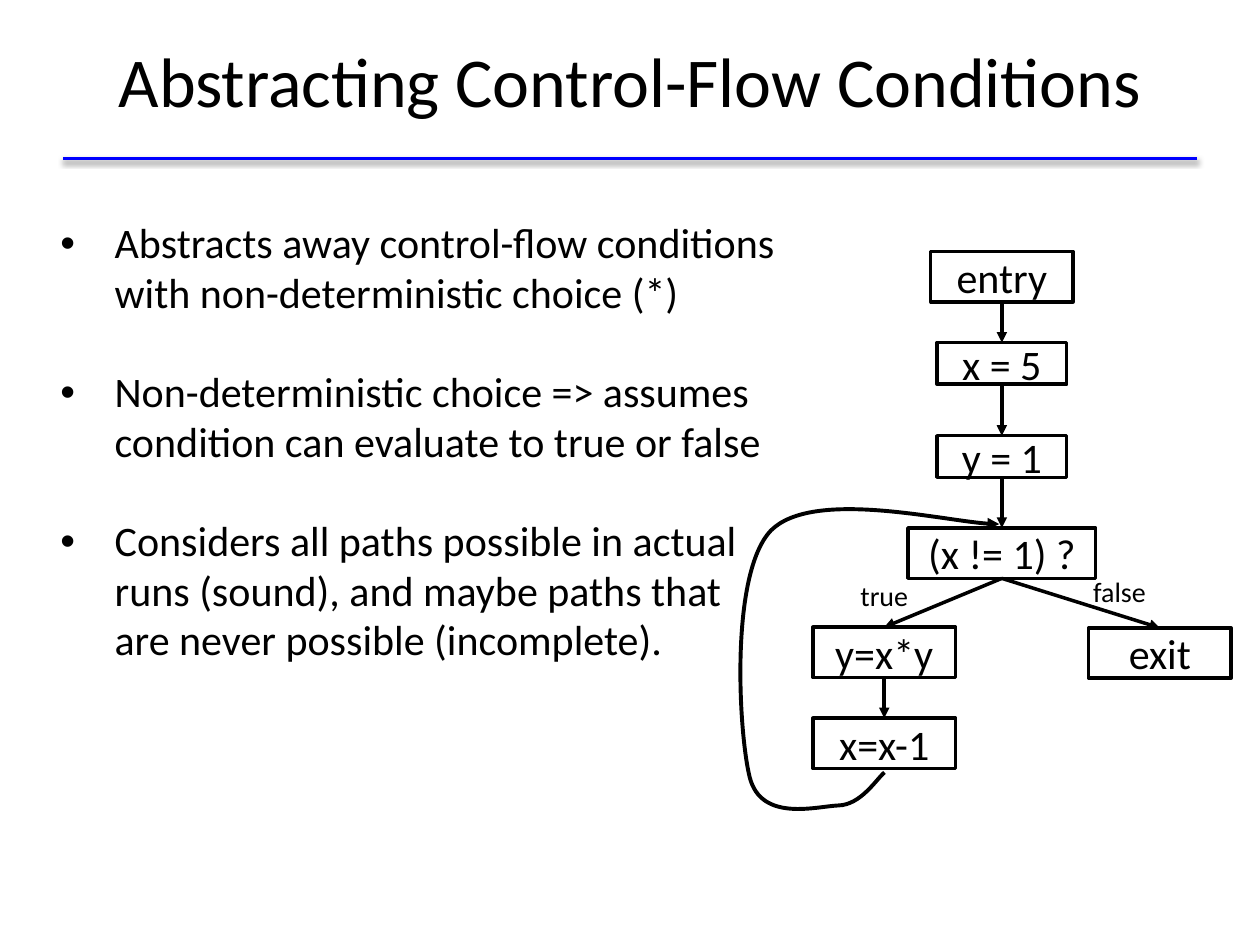
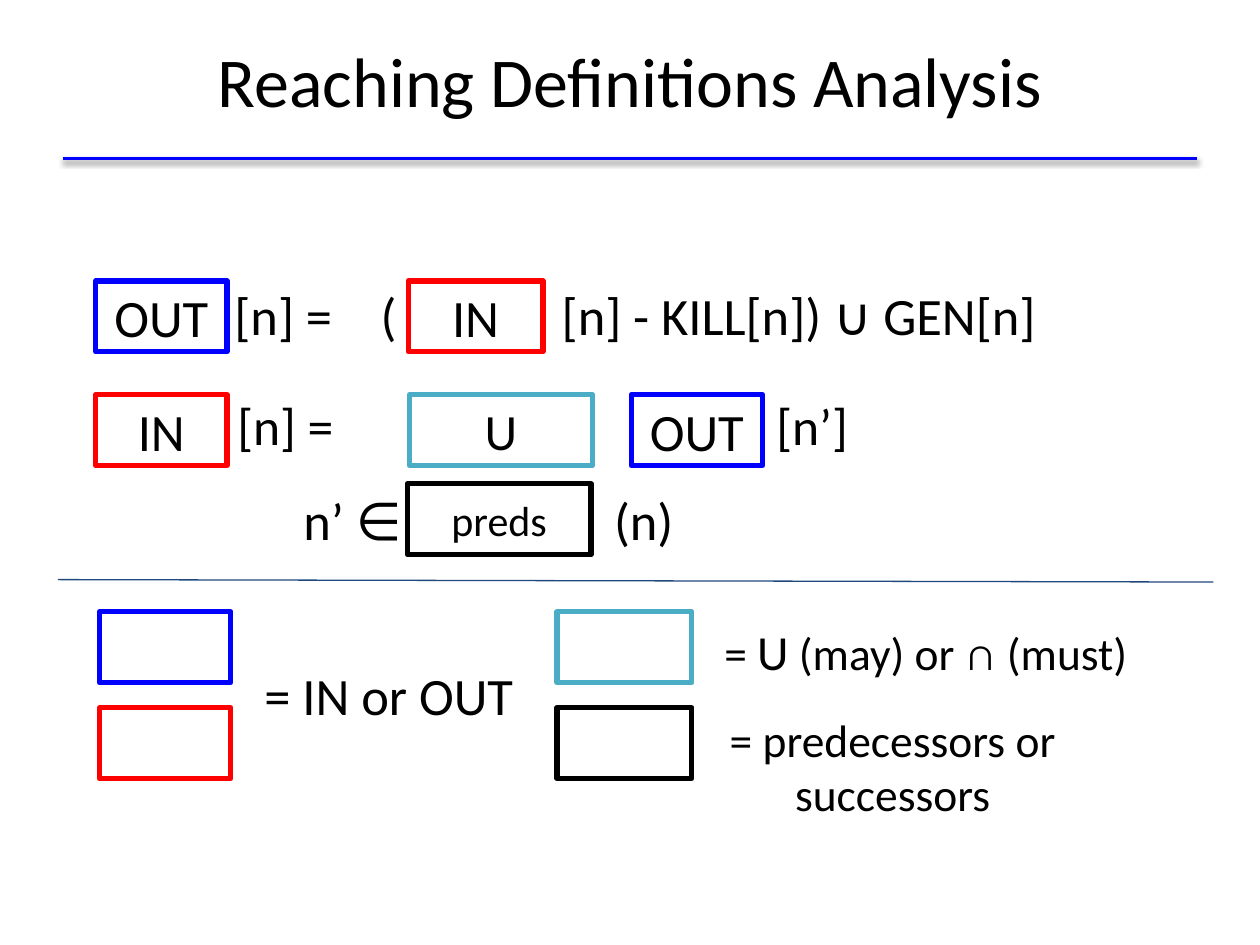
from dataclasses import dataclass

from lxml import etree
from pptx import Presentation
from pptx import util as u
from pptx.dml.color import RGBColor
from pptx.enum import shapes, text
from pptx.oxml import ns

Pt = u.Pt
FONT = "Calibri"
COLORS = {
    "ink": "000000",
    "blue": "0000FF",
    "red": "FF0000",
    "teal": "4BACC6",
    "navy": "1F497D",
}
TITLE_ONLY, TITLE_AND_BODY = 5, 1
LEFT, CENTER = text.PP_ALIGN.LEFT, text.PP_ALIGN.CENTER
TOP, MIDDLE = text.MSO_ANCHOR.TOP, text.MSO_ANCHOR.MIDDLE


@dataclass(frozen=True)
class Box:
    left: float
    top: float
    width: float
    height: float
    words: str = ""
    size: float = 24
    color: str = "ink"
    line: float = 3
    inset: float = 7.2


@dataclass(frozen=True)
class Label:
    left: float
    top: float
    width: float
    height: float
    runs: tuple[tuple[str, float], ...]
    align: int = LEFT
    anchor: int = TOP
    inset: float = 7.2
    spaced: bool = False
    tabs: tuple[float, ...] = ()


def rgb(name: str) -> RGBColor:
    return RGBColor.from_string(COLORS[name])


def child(parent, tag: str, **attributes):
    return etree.SubElement(parent, ns.qn(tag), attributes)


def place(shape, left: float, top: float, width: float, height: float) -> None:
    shape.left, shape.top = Pt(left), Pt(top)
    shape.width, shape.height = Pt(width), Pt(height)


def set_frame(frame, anchor: int, inset: float) -> None:
    frame.word_wrap = True
    frame.auto_size = text.MSO_AUTO_SIZE.NONE
    frame.vertical_anchor = anchor
    frame.margin_left = frame.margin_right = Pt(7.2)
    frame.margin_top = frame.margin_bottom = Pt(inset)


def add_run(paragraph, words: str, size: float) -> None:
    run = paragraph.add_run()
    run.text = words
    run.font.name = FONT
    run.font.size = Pt(size)
    run.font.color.rgb = rgb("ink")


def set_line(line, color: str, width: float, arrow: bool = False) -> None:
    line.color.rgb = rgb(color)
    line.width = Pt(width)
    if arrow:
        child(line._get_or_add_ln(), "a:tailEnd", type="triangle")


def add_line(slide, ends: tuple, color: str, width: float, arrow: bool = False):
    connector = slide.shapes.add_connector(
        shapes.MSO_CONNECTOR.STRAIGHT, *(Pt(value) for value in ends))
    set_line(connector.line, color, width, arrow)
    effects = child(connector.element.spPr, "a:effectLst")
    return connector, effects


def add_box(slide, box: Box):
    shape = slide.shapes.add_shape(
        shapes.MSO_SHAPE.RECTANGLE,
        *(Pt(v) for v in (box.left, box.top, box.width, box.height)))
    shape.shadow.inherit = False
    shape.fill.background()
    set_line(shape.line, box.color, box.line)
    set_frame(shape.text_frame, MIDDLE, box.inset)
    if box.words:
        paragraph = shape.text_frame.paragraphs[0]
        paragraph.alignment = CENTER
        add_run(paragraph, box.words, box.size)
    return shape


def add_label(slide, label: Label) -> None:
    holder = slide.shapes.add_textbox(
        *(Pt(v) for v in (label.left, label.top, label.width, label.height)))
    set_frame(holder.text_frame, label.anchor, label.inset)
    paragraph = holder.text_frame.paragraphs[0]
    paragraph.alignment = label.align
    if label.spaced:
        paragraph.line_spacing = 1.15
        paragraph.space_before = Pt(5.9)
    if label.tabs:
        stops = child(paragraph._p.get_or_add_pPr(), "a:tabLst")
        for stop in label.tabs:
            child(stops, "a:tab", pos=str(Pt(stop)), algn="l")
    for words, size in label.runs:
        add_run(paragraph, words, size)


def add_titled_slide(deck, layout: int, title: str):
    slide = deck.slides.add_slide(deck.slide_layouts[layout])
    heading = slide.shapes.title
    place(heading, 36, 0.7, 648, 90)
    set_frame(heading.text_frame, MIDDLE, 3.6)
    paragraph = heading.text_frame.paragraphs[0]
    paragraph.alignment = CENTER
    add_run(paragraph, title, 40)
    return slide


def move_rule_to_master(deck, slide) -> None:
    rule, effects = add_line(slide, (36, 90.7, 684, 90.7), "blue", 2)
    shadow = child(effects, "a:outerShdw", blurRad=str(Pt(3.1)), dist=str(Pt(1.6)),
                   dir="5400000", rotWithShape="0")
    child(child(shadow, "a:srgbClr", val=COLORS["ink"]), "a:alpha", val="38000")
    deck.slide_master.shapes.element.append(rule.element)


def fill_bullets(body, points: tuple[str, ...]) -> None:
    place(body, 22.3, 118, 430, 370)
    set_frame(body.text_frame, TOP, 7.2)
    for index, point in enumerate(points):
        frame = body.text_frame
        paragraph = frame.add_paragraph() if index else frame.paragraphs[0]
        properties = paragraph._p.get_or_add_pPr()
        properties.set("marL", str(Pt(36)))
        properties.set("indent", str(Pt(-31)))
        paragraph.line_spacing = 0.98
        paragraph.space_before = Pt(0)
        paragraph.space_after = Pt(28.7)
        add_run(paragraph, point, 24)


def add_loop_edge(slide, start: tuple, curves: tuple) -> None:
    builder = slide.shapes.build_freeform(Pt(start[0]), Pt(start[1]))
    builder.add_line_segments([(Pt(x), Pt(y)) for x, y in curves], close=False)
    loop = builder.convert_to_shape()
    loop.shadow.inherit = False
    loop.fill.background()
    set_line(loop.line, "ink", 2.25, arrow=True)
    segments = loop.element.xpath(".//a:lnTo")
    outline = segments[0].getparent()
    for first in range(0, len(segments), 3):
        curve = child(outline, "a:cubicBezTo")
        for segment in segments[first:first + 3]:
            curve.append(segment[0])
            outline.remove(segment)


def build_conditions(deck) -> None:
    slide = add_titled_slide(deck, TITLE_AND_BODY, "Abstracting Control-Flow Conditions")
    move_rule_to_master(deck, slide)
    fill_bullets(slide.placeholders[1], (
        "Abstracts away control-flow conditions with non-deterministic choice (*)",
        "Non-deterministic choice => assumes condition can evaluate to true or false",
        "Considers all paths possible in actual runs (sound), and maybe paths that "
        "are never possible (incomplete).",
    ))
    add_loop_edge(slide, (505.4, 441.4), (
        (501, 445), (492, 460), (479, 460.3),
        (466.5, 460.8), (435, 470), (428.4, 444.2),
        (422, 418.3), (417, 327.6), (440.6, 303.1),
        (464.4, 279.4), (549.4, 300.2), (571, 299.5),
    ))
    trunk, loop_body, after = 572.5, 505.3, 662.8
    nodes = {
        words: add_box(slide, Box(center - width / 2, top, width, height, words,
                                  line=2, inset=3.6))
        for words, center, top, width, height in (
            ("entry", trunk, 143.7, 81.4, 28.8),
            ("x = 5", trunk, 195.8, 74.2, 23.8),
            ("y = 1", trunk, 249, 74.2, 23.8),
            ("(x != 1) ?", trunk, 301.7, 107.3, 28.8),
            ("y=x*y", loop_body, 358.4, 81.4, 28.8),
            ("x=x-1", loop_body, 410.4, 81.4, 28.8),
            ("exit", after, 358.8, 81.4, 28.8),
        )
    }
    for source, target in (
        ("entry", "x = 5"), ("x = 5", "y = 1"), ("y = 1", "(x != 1) ?"),
        ("(x != 1) ?", "y=x*y"), ("(x != 1) ?", "exit"), ("y=x*y", "x=x-1"),
    ):
        edge, _ = add_line(slide, (0, 0, 0, 0), "ink", 2, arrow=True)
        edge.begin_connect(nodes[source], 2)
        edge.end_connect(nodes[target], 0)
    for left, top, branch in ((484.6, 327, "true"), (617.6, 324.7, "false")):
        add_label(slide, Label(left, top, 60, 26, ((branch, 16),), anchor=MIDDLE))


def build_reaching_definitions(deck) -> None:
    slide = add_titled_slide(deck, TITLE_ONLY, "Reaching Definitions Analysis")
    out_row, in_row, preds_row = 160.5, 225.5, 276.5
    legend_top, legend_bottom = 349.6, 404.4
    height = 40.5
    for box in (
        Box(54.7, out_row, 75, height, "OUT", 30, "blue"),
        Box(233.3, out_row, 77, height, "IN", 30, "red"),
        Box(54.7, in_row, 75, height, "IN", 30, "red"),
        Box(234, in_row, 104.4, height, "U", 29, "teal"),
        Box(360.7, in_row, 75, height, "OUT", 30, "blue"),
        Box(232.8, preds_row, 105, height, "preds", 24),
        Box(56.9, legend_top, 75, height, color="blue"),
        Box(56.9, legend_bottom, 75, height, color="red"),
        Box(318.4, legend_top, 77, height, color="teal"),
        Box(318.4, legend_bottom, 77, height),
    ):
        add_box(slide, box)
    add_line(slide, (33.1, 331.2, 693.4, 332.6), "navy", 0.75)
    for label in (
        Label(73.4, 152.6, 646, 54, (("\t[n] =\t(\t[n] - KILL[n]) ∪ GEN[n]", 30),),
              inset=3.6, spaced=True, tabs=(53.5, 137, 240.5)),
        Label(36, 216, 472, 54, (("\t[n] =\t[n’]", 29.5),),
              inset=3.6, spaced=True, tabs=(92.5, 400.5)),
        Label(166.3, 270, 239, 42, (("n’ ∈\t(n)", 30),),
              inset=3.6, spaced=True, tabs=(177.5,)),
        Label(144, 371.5, 165, 45.4, (("= IN or OUT", 30),)),
        Label(406.8, 352.8, 313, 33.8,
              (("= ", 26), ("U", 28), (" (may) or ∩ (must)", 26)),
              anchor=MIDDLE, spaced=True),
        Label(398.2, 399.6, 224, 69.8, (("= predecessors or successors", 26),),
              align=CENTER),
    ):
        add_label(slide, label)


def main() -> None:
    deck = Presentation()
    deck.slide_width, deck.slide_height = Pt(720), Pt(540)
    build_conditions(deck)
    build_reaching_definitions(deck)
    deck.save("out.pptx")


if __name__ == "__main__":
    main()
